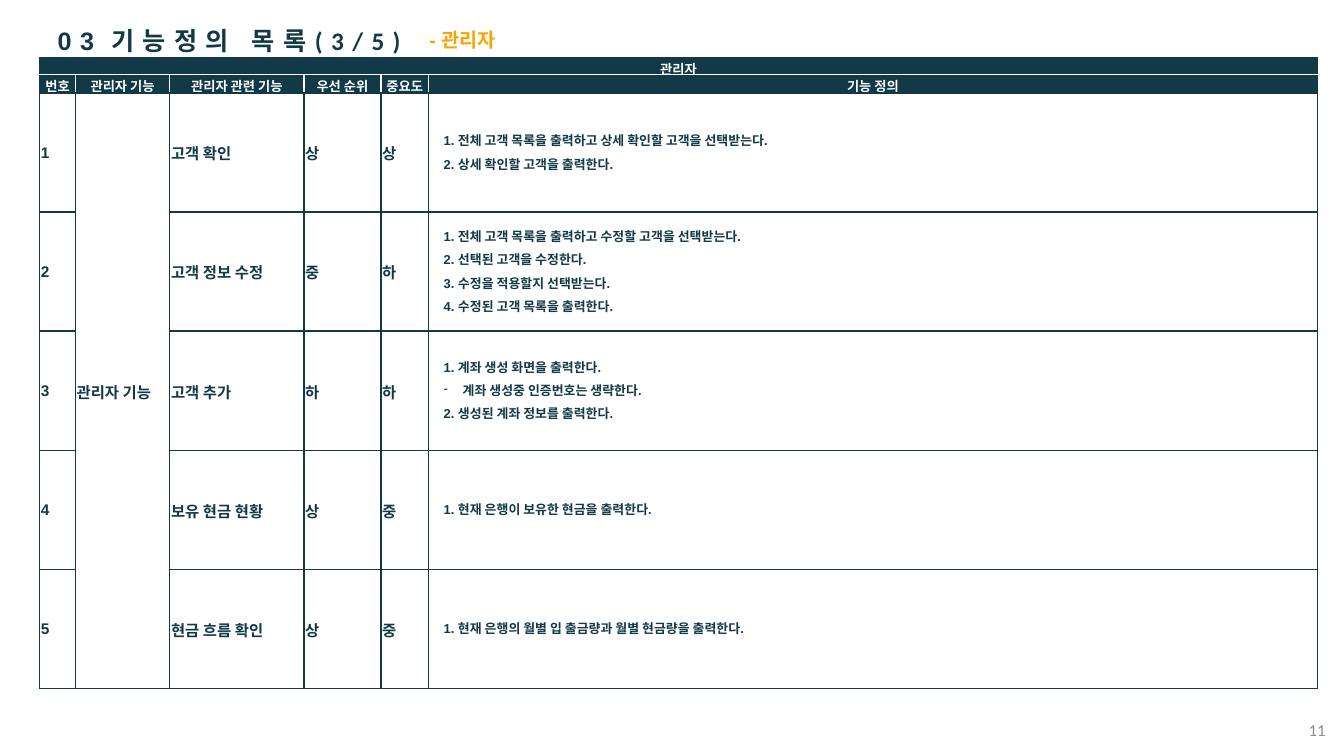
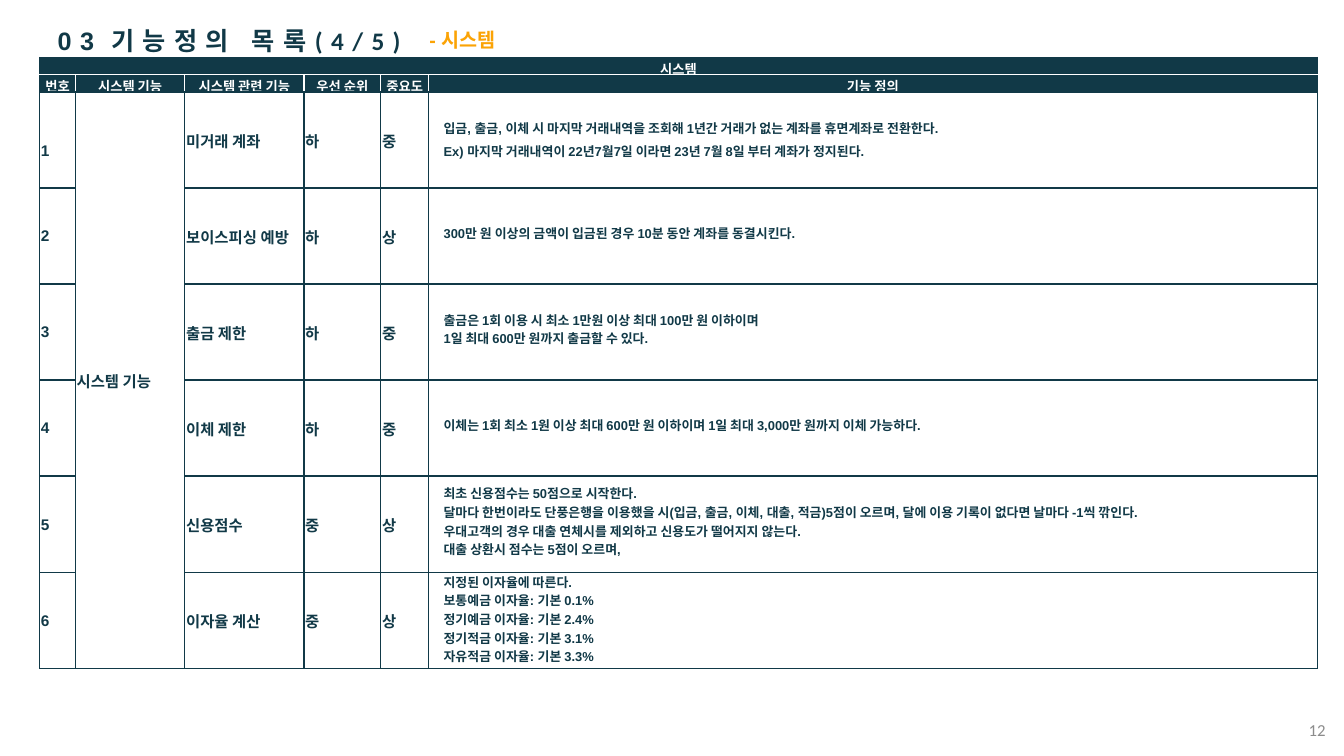
import pptx
import pptx.dml.color
import pptx.enum.text
import pptx.oxml
import pptx.oxml.ns
import pptx.util
from pptx.util import Cm, Pt

# Shared style
NAVY, WHITE, AMBER, GREY = "113947", "FFFFFF", "FBA305", "8C8C8C"
HEADING_FONT, PAGE_FONT = "Arial", "Calibri"
LEFT, TOP = 1.0, 1.45
ALIGN = pptx.enum.text.PP_ALIGN
ANCHOR = pptx.enum.text.MSO_ANCHOR
LABEL_INSETS = (0.03, 0.03, 0.03, 0)
DEFINITION_INSETS = (0.38, 0, 0.38, 0.15)

# Content: (function, priority, importance, definition lines)
ADMIN_ROWS = [
    ("고객 확인", "상", "상", [
        "1. 전체 고객 목록을 출력하고 상세 확인할 고객을 선택받는다.",
        "2. 상세 확인할 고객을 출력한다."]),
    ("고객 정보 수정", "중", "하", [
        "1. 전체 고객 목록을 출력하고 수정할 고객을 선택받는다.",
        "2. 선택된 고객을 수정한다.",
        "3. 수정을 적용할지 선택받는다.",
        "4. 수정된 고객 목록을 출력한다."]),
    ("고객 추가", "하", "하", [
        "1. 계좌 생성 화면을 출력한다.",
        ("-", "계좌 생성중 인증번호는 생략한다."),
        "2. 생성된 계좌 정보를 출력한다."]),
    ("보유 현금 현황", "상", "중", ["1. 현재 은행이 보유한 현금을 출력한다."]),
    ("현금 흐름 확인", "상", "중", [
        "1. 현재 은행의 월별 입 출금량과 월별 현금량을 출력한다."]),
]
SYSTEM_ROWS = [
    ("미거래 계좌", "하", "중", [
        "입금, 출금, 이체 시 마지막 거래내역을 조회해 1년간 거래가 없는 계좌를 휴면계좌로 전환한다.",
        "Ex) 마지막 거래내역이 22년7월7일 이라면 23년 7월 8일 부터 계좌가 정지된다."]),
    ("보이스피싱 예방", "하", "상", [
        "300만 원 이상의 금액이 입금된 경우 10분 동안 계좌를 동결시킨다."]),
    ("출금 제한", "하", "중", [
        "출금은 1회 이용 시 최소 1만원 이상 최대 100만 원 이하이며",
        "1일 최대 600만 원까지 출금할 수 있다."]),
    ("이체 제한", "하", "중", [
        "이체는 1회 최소 1원 이상 최대 600만 원 이하이며 1일 최대 3,000만 원까지 이체 가능하다."]),
    ("신용점수", "중", "상", [
        "최초 신용점수는 50점으로 시작한다.",
        "달마다 한번이라도 단풍은행을 이용했을 시(입금, 출금, 이체, 대출, 적금)5점이 오르며, "
        "달에 이용 기록이 없다면 날마다 -1씩 깎인다.",
        "우대고객의 경우 대출 연체시를 제외하고 신용도가 떨어지지 않는다.",
        "대출 상환시 점수는 5점이 오르며,"]),
    ("이자율 계산", "중", "상", [
        "지정된 이자율에 따른다.",
        "보통예금 이자율: 기본 0.1%",
        "정기예금 이자율: 기본 2.4%",
        "정기적금 이자율: 기본 3.1%",
        "자유적금 이자율: 기본 3.3%"]),
]


def rgb(value):
    return pptx.dml.color.RGBColor.from_string(value)


def set_font(font, size, color, name=HEADING_FONT, bold=True):
    font.size, font.name, font.bold = Pt(size), name, bold
    font.color.rgb = rgb(color)


# Text outside the table
def add_title(page, part):
    title = page.shapes.title
    title.left, title.top, title.width, title.height = Cm(1.2), Cm(0.5), Cm(9.83), Cm(1.03)
    frame = title.text_frame
    frame.word_wrap = True
    frame.auto_size = pptx.enum.text.MSO_AUTO_SIZE.SHAPE_TO_FIT_TEXT
    frame.vertical_anchor = ANCHOR.TOP
    para = frame.paragraphs[0]
    para.alignment = ALIGN.LEFT
    spans = [("03", 18, HEADING_FONT), (" ", 1, PAGE_FONT),
             (f"기능정의 목록({part}/5)", 18, PAGE_FONT)]
    for text, size, name in spans:
        span = para.add_run()
        span.text = text
        set_font(span.font, size, NAVY, name)
        span.font._element.set("spc", "600")


def add_text(page, text, place, size, color, name=HEADING_FONT, bold=True,
             align=ALIGN.LEFT, anchor=ANCHOR.TOP):
    box = page.shapes.add_textbox(*(Cm(length) for length in place))
    frame = box.text_frame
    frame.word_wrap = True
    frame.vertical_anchor = anchor
    para = frame.paragraphs[0]
    para.text = text
    para.alignment = align
    set_font(para.font, size, color, name, bold)


# Table cells
def set_borders(cell, left=NAVY, right=NAVY, top=NAVY, bottom=NAVY):
    properties = cell._tc.get_or_add_tcPr()
    for side, color in zip("LRTB", (left, right, top, bottom)):
        properties.append(pptx.oxml.parse_xml(
            f'<a:ln{side} {pptx.oxml.ns.nsdecls("a")} w="12700"><a:solidFill>'
            f'<a:srgbClr val="{color}"/></a:solidFill></a:ln{side}>'))


def fill_header(cell):
    cell.fill.gradient()
    cell.fill.gradient_angle = 270
    for stop, color in zip(cell.fill.gradient_stops, (NAVY, WHITE)):
        stop.position = 0.93
        stop.color.rgb = rgb(color)


def add_bullet(para, mark):
    properties = para._p.get_or_add_pPr()
    properties.set("marL", str(Cm(0.48)))
    properties.set("indent", str(-Cm(0.48)))
    bullet = pptx.oxml.parse_xml(f'<a:buChar {pptx.oxml.ns.nsdecls("a")} char="{mark}"/>')
    properties.append(bullet)


def write_cell(cell, lines, size, color=NAVY, align=ALIGN.LEFT,
               insets=LABEL_INSETS, spacing=None):
    cell.vertical_anchor = ANCHOR.MIDDLE
    cell.margin_left, cell.margin_top, cell.margin_right, cell.margin_bottom = map(Cm, insets)
    frame = cell.text_frame
    for index, line in enumerate(lines):
        mark, text = line if isinstance(line, tuple) else (None, line)
        para = frame.add_paragraph() if index else frame.paragraphs[0]
        para.text = text
        para.alignment = align
        if spacing:
            para.line_spacing = spacing
        if mark:
            add_bullet(para, mark)
        set_font(para.font, size, color)


def add_function_table(page, subject, rows, group_widths, header_height, row_height,
                       spaced_rows, first_number_inset):
    widths = [0.9, *group_widths, 1.94, 1.2, 22.4]
    heights = [0.43, header_height] + [row_height] * len(rows)
    table = page.shapes.add_table(len(heights), len(widths), Cm(LEFT), Cm(TOP),
                                  Cm(sum(widths)), Cm(sum(heights))).table
    table.first_row = table.horz_banding = False
    for column, width in zip(table.columns, widths):
        column.width = Cm(width)
    for row, height in zip(table.rows, heights):
        row.height = Cm(height)
    table.cell(0, 0).merge(table.cell(0, len(widths) - 1))
    table.cell(2, 1).merge(table.cell(len(heights) - 1, 1))

    # Heading rows
    for column in range(len(widths)):
        band = table.cell(0, column)
        set_borders(band, bottom=WHITE)
        band.fill.solid()
        band.fill.fore_color.rgb = rgb(NAVY)
    write_cell(table.cell(0, 0), [subject], 9.5, WHITE, ALIGN.CENTER)
    headings = ["번호", f"{subject} 기능", f"{subject} 관련 기능", "우선 순위", "중요도", "기능 정의"]
    for column, heading in enumerate(headings):
        cell = table.cell(1, column)
        set_borders(cell, left=WHITE if column else NAVY, top=WHITE,
                    right=WHITE if column < len(headings) - 1 else NAVY)
        fill_header(cell)
        write_cell(cell, [heading], 9.5, WHITE, ALIGN.CENTER)

    # Function rows
    for number, (name, priority, importance, definition) in enumerate(rows, 1):
        cells = [table.cell(number + 1, column) for column in range(len(widths))]
        for cell in cells:
            set_borders(cell)
            cell.fill.background()
        number_top = first_number_inset if number == 1 else 0.03
        write_cell(cells[0], [str(number)], 11, insets=(0.03, number_top, 0.03, 0))
        for cell, text in zip(cells[2:5], (name, priority, importance)):
            write_cell(cell, [text], 11)
        write_cell(cells[5], definition, 9.2, insets=DEFINITION_INSETS,
                   spacing=1.25 if number <= spaced_rows else None)
    write_cell(table.cell(2, 1), [f"{subject} 기능"], 11)


def add_page(deck, part, number, subject, rows, **layout):
    page = deck.slides.add_slide(deck.slide_layouts[5])
    add_title(page, part)
    add_text(page, f"- {subject}", (10.57, 0.58, 5.59, 0.86), 14, AMBER)
    add_function_table(page, subject, rows, **layout)
    add_text(page, str(number), (26.04, 17.88, 7.62, 1.02), 12, GREY, PAGE_FONT,
             False, ALIGN.RIGHT, ANCHOR.MIDDLE)


def main():
    deck = pptx.Presentation()
    deck.slide_width, deck.slide_height = Cm(33.87), Cm(19.05)
    add_page(deck, 3, 11, "관리자", ADMIN_ROWS, group_widths=(2.38, 3.38),
             header_height=0.46, row_height=3.0, spaced_rows=5, first_number_inset=0.03)
    add_page(deck, 4, 12, "시스템", SYSTEM_ROWS, group_widths=(2.76, 3.0),
             header_height=0.43, row_height=2.42, spaced_rows=1, first_number_inset=0.55)
    deck.save("out.pptx")


if __name__ == "__main__":
    main()
